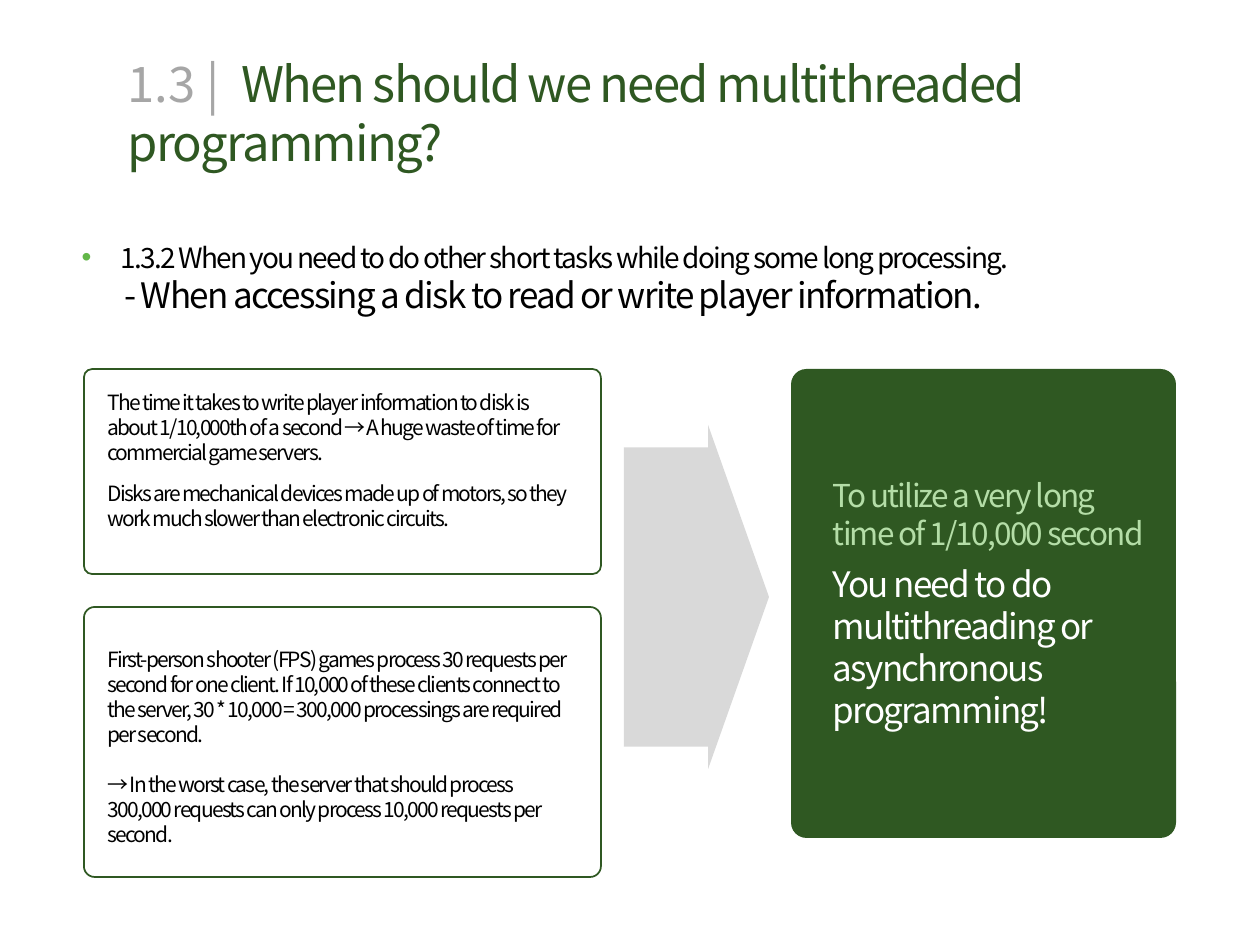
import pptx
import pptx.dml.color
import pptx.enum.shapes
import pptx.enum.text
import pptx.util
from lxml import etree
from pptx.oxml.ns import qn

EMU_PER_PX = 914400 / 126
FONT = "Noto Sans CJK KR"
TIGHT = -1

BLACK = pptx.dml.color.RGBColor(0x00, 0x00, 0x00)
WHITE = pptx.dml.color.RGBColor(0xFF, 0xFF, 0xFF)
GREEN = pptx.dml.color.RGBColor(0x2F, 0x58, 0x22)
PALE_GREEN = pptx.dml.color.RGBColor(0xB4, 0xDD, 0xA7)
BULLET_GREEN = pptx.dml.color.RGBColor(0x63, 0xB7, 0x49)
GRAY = pptx.dml.color.RGBColor(0xA6, 0xA6, 0xA6)
LIGHT_GRAY = pptx.dml.color.RGBColor(0xD9, 0xD9, 0xD9)

SHAPES = pptx.enum.shapes.MSO_SHAPE
ANCHOR = pptx.enum.text.MSO_ANCHOR


def px(length):
    return pptx.util.Emu(round(length * EMU_PER_PX))


def place(shape, left, top, width, height):
    shape.left, shape.top = px(left), px(top)
    shape.width, shape.height = px(width), px(height)


def setup_frame(frame, anchor=ANCHOR.TOP):
    frame.word_wrap = True
    frame.auto_size = pptx.enum.text.MSO_AUTO_SIZE.NONE
    frame.vertical_anchor = anchor


def setup_paragraph(paragraph, before=0, line_spacing=1.0):
    paragraph.alignment = pptx.enum.text.PP_ALIGN.LEFT
    paragraph.space_before = pptx.util.Pt(before)
    paragraph.line_spacing = line_spacing


def add_run(paragraph, text, size, color, spacing=TIGHT):
    run = paragraph.add_run()
    run.text = text
    run.font.size = pptx.util.Pt(size)
    run.font.color.rgb = color
    run.font.name = FONT
    properties = run.font._element
    properties.set("spc", str(spacing * 100))
    east_asian = etree.SubElement(properties, qn("a:ea"))
    east_asian.set("typeface", FONT)


def set_indent(paragraph, margin, first_line=0):
    properties = paragraph._p.get_or_add_pPr()
    properties.set("marL", str(px(margin)))
    properties.set("indent", str(px(first_line)))


def add_bullet(paragraph, color):
    properties = paragraph._p.get_or_add_pPr()
    bullet_color = etree.SubElement(properties, qn("a:buClr"))
    etree.SubElement(bullet_color, qn("a:srgbClr")).set("val", str(color))
    etree.SubElement(properties, qn("a:buFont")).set("typeface", "Arial")
    etree.SubElement(properties, qn("a:buChar")).set("char", "•")


def add_text(slide, box, texts, size, gap=0):
    text_box = slide.shapes.add_textbox(*map(px, box))
    frame = text_box.text_frame
    setup_frame(frame)
    for index, text in enumerate(texts):
        paragraph = frame.add_paragraph() if index else frame.paragraphs[0]
        setup_paragraph(paragraph, gap if index else 0)
        add_run(paragraph, text, size, BLACK)


def add_panel(slide, preset, box, adjustments, fill=None, line=None):
    panel = slide.shapes.add_shape(preset, *map(px, box))
    panel.shadow.inherit = False
    for index, value in enumerate(adjustments):
        panel.adjustments[index] = value
    if fill is None:
        panel.fill.background()
    else:
        panel.fill.solid()
        panel.fill.fore_color.rgb = fill
    if line is None:
        panel.line.fill.background()
    else:
        panel.line.color.rgb = line
        panel.line.width = pptx.util.Pt(1)
    return panel


def fill_title(title):
    place(title, 115, 47, 1102, 131)
    setup_frame(title.text_frame, ANCHOR.MIDDLE)
    paragraph = title.text_frame.paragraphs[0]
    setup_paragraph(paragraph)
    add_run(paragraph, "1.3 |", 28, GRAY, 0)
    add_run(paragraph, " ", 28, GRAY, 6)
    add_run(paragraph, "When should we need multithreaded programming?", 28, GREEN)


def fill_topic(body):
    place(body, 69, 217, 1126, 63)
    setup_frame(body.text_frame)
    paragraph = body.text_frame.paragraphs[0]
    setup_paragraph(paragraph, line_spacing=1.5)
    set_indent(paragraph, 39, -39)
    add_bullet(paragraph, BULLET_GREEN)
    add_run(paragraph, "1.3.2 When you need to do other short tasks while doing "
            "some long processing.", 16, BLACK)


def fill_conclusion(panel):
    setup_frame(panel.text_frame, ANCHOR.MIDDLE)
    reason = panel.text_frame.paragraphs[0]
    advice = panel.text_frame.add_paragraph()
    setup_paragraph(reason)
    setup_paragraph(advice, 6)
    for paragraph in (reason, advice):
        set_indent(paragraph, 25)
    add_run(reason, "To utilize a very long time of 1/10,000 second", 18, PALE_GREEN)
    add_run(advice, "You need to do multithreading or asynchronous programming!",
            20, WHITE)


def main():
    presentation = pptx.Presentation()
    presentation.slide_width = px(1260)
    presentation.slide_height = px(945)
    slide = presentation.slides.add_slide(presentation.slide_layouts[1])

    # Heading and topic
    fill_title(slide.shapes.title)
    fill_topic(slide.placeholders[1])
    add_text(slide, (112, 267, 1064, 55),
             ["- When accessing a disk to read or write player information."], 20)

    # Reasons on the left
    for top, height in ((369, 205), (607, 270)):
        add_panel(slide, SHAPES.ROUNDED_RECTANGLE, (84, top, 517, height),
                  [0.04], line=GREEN)
    add_text(slide, (95, 383, 495, 89),
             ["The time it takes to write player information to disk is about "
              "1/10,000th of a second → A huge waste of time for commercial "
              "game servers."], 12)
    add_text(slide, (95, 474, 495, 63),
             ["Disks are mechanical devices made up of motors, so they work much "
              "slower than electronic circuits."], 12)
    add_text(slide, (95, 640, 495, 217),
             ["First-person shooter (FPS) games process 30 requests per second for "
              "one client. If 10,000 of these clients connect to the server, "
              "30 * 10,000 = 300,000 processings are required per second.",
              "→ In the worst case, the server that should process 300,000 "
              "requests can only process 10,000 requests per second."], 12, gap=14)

    # Arrow to the conclusion
    add_panel(slide, SHAPES.RIGHT_ARROW, (624, 425, 145, 344), [0.87, 0.42],
              fill=LIGHT_GRAY)
    conclusion = add_panel(slide, SHAPES.ROUNDED_RECTANGLE, (791, 369, 385, 469),
                           [0.04], fill=GREEN)
    fill_conclusion(conclusion)

    presentation.save("out.pptx")


if __name__ == "__main__":
    main()
